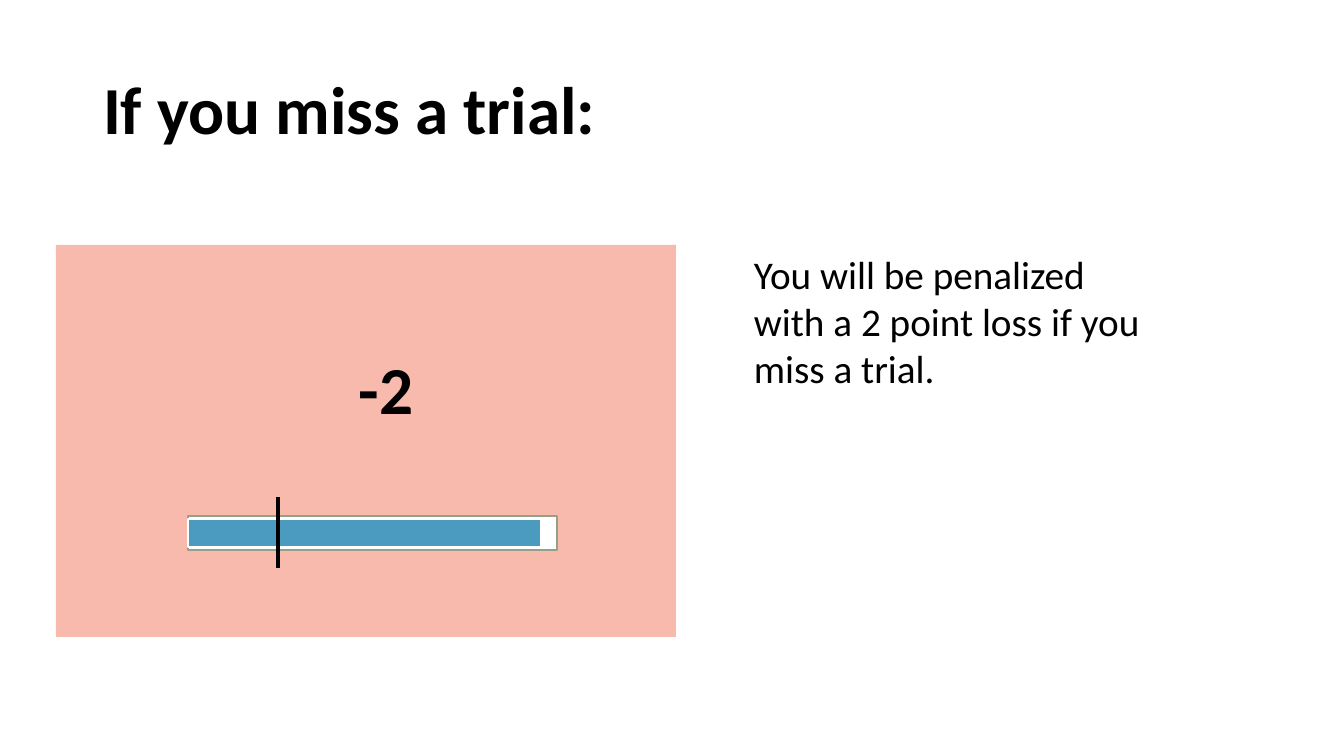
import pptx
import pptx.dml.color
import pptx.enum.shapes
import pptx.enum.text
import pptx.oxml.ns
import pptx.util
from lxml import etree

RGBColor = pptx.dml.color.RGBColor
BLACK = RGBColor(0x00, 0x00, 0x00)
WHITE = RGBColor(0xFF, 0xFF, 0xFF)
SALMON = RGBColor(0xF9, 0xBA, 0xAE)
SAGE = RGBColor(0x94, 0xA0, 0x88)
BLUE = RGBColor(0x4B, 0x9B, 0xC1)

EMU_PER_PX = 914400 / 100.8
TITLE_ONLY_LAYOUT = 5

HEADING = {"size": pptx.util.Pt(48), "bold": True}
BODY = {"size": pptx.util.Pt(28), "bold": False}


def px(length):
    return pptx.util.Emu(round(length * EMU_PER_PX))


def set_attributes(target, values):
    for name, value in values.items():
        setattr(target, name, value)


class SlideBuilder:
    font_name = "Calibri"

    def __init__(self, presentation):
        layout = presentation.slide_layouts[TITLE_ONLY_LAYOUT]
        self.slide = presentation.slides.add_slide(layout)

    def add_styled_text(self, shape, text, style):
        shape.text_frame.word_wrap = True
        paragraph = shape.text_frame.paragraphs[0]
        paragraph.alignment = pptx.enum.text.PP_ALIGN.LEFT
        run = paragraph.add_run()
        run.text = text
        set_attributes(run.font, {"name": self.font_name, **style})
        run.font.color.rgb = BLACK
        return paragraph

    def title(self, text, left, top, width, height):
        shape = self.slide.shapes.title
        set_attributes(shape, {"left": px(left), "top": px(top),
                               "width": px(width), "height": px(height)})
        shape.text_frame.vertical_anchor = pptx.enum.text.MSO_ANCHOR.MIDDLE
        self.add_styled_text(shape, text, HEADING).line_spacing = 0.9

    def text(self, text, left, top, width, height, style):
        shape = self.slide.shapes.add_textbox(px(left), px(top), px(width), px(height))
        self.add_styled_text(shape, text, style)
        shape.text_frame.auto_size = pptx.enum.text.MSO_AUTO_SIZE.SHAPE_TO_FIT_TEXT

    def rectangle(self, left, top, width, height, fill, outline=None):
        shape = self.slide.shapes.add_shape(
            pptx.enum.shapes.MSO_SHAPE.RECTANGLE,
            px(left), px(top), px(width), px(height))
        shape.shadow.inherit = False
        shape.fill.solid()
        shape.fill.fore_color.rgb = fill
        if outline is None:
            shape.line.fill.background()
        else:
            shape.line.color.rgb = outline
            shape.line.width = pptx.util.Pt(1)

    def vertical_line(self, x, top, bottom):
        line = self.slide.shapes.add_connector(
            pptx.enum.shapes.MSO_CONNECTOR.STRAIGHT,
            px(x), px(top), px(x), px(bottom))
        line.line.color.rgb = BLACK
        line.line.width = pptx.util.Pt(3)
        etree.SubElement(line._element.spPr, pptx.oxml.ns.qn("a:effectLst"))


def main():
    presentation = pptx.Presentation()
    presentation.slide_width = px(1344)
    presentation.slide_height = px(756)

    builder = SlideBuilder(presentation)
    builder.title("If you miss a trial:", 93, 40, 1159, 146)
    builder.text("You will be penalized with a 2 point loss if you miss a trial.",
                 744, 245, 422, 152, BODY)

    builder.rectangle(56, 245, 620, 392, SALMON)
    builder.rectangle(188, 516, 369, 34, WHITE, SAGE)
    builder.rectangle(188, 519, 353, 28, BLUE, WHITE)
    builder.vertical_line(278, 497, 568)
    builder.text("-2", 349, 342, 94, 92, HEADING)

    presentation.save("out.pptx")


if __name__ == "__main__":
    main()
